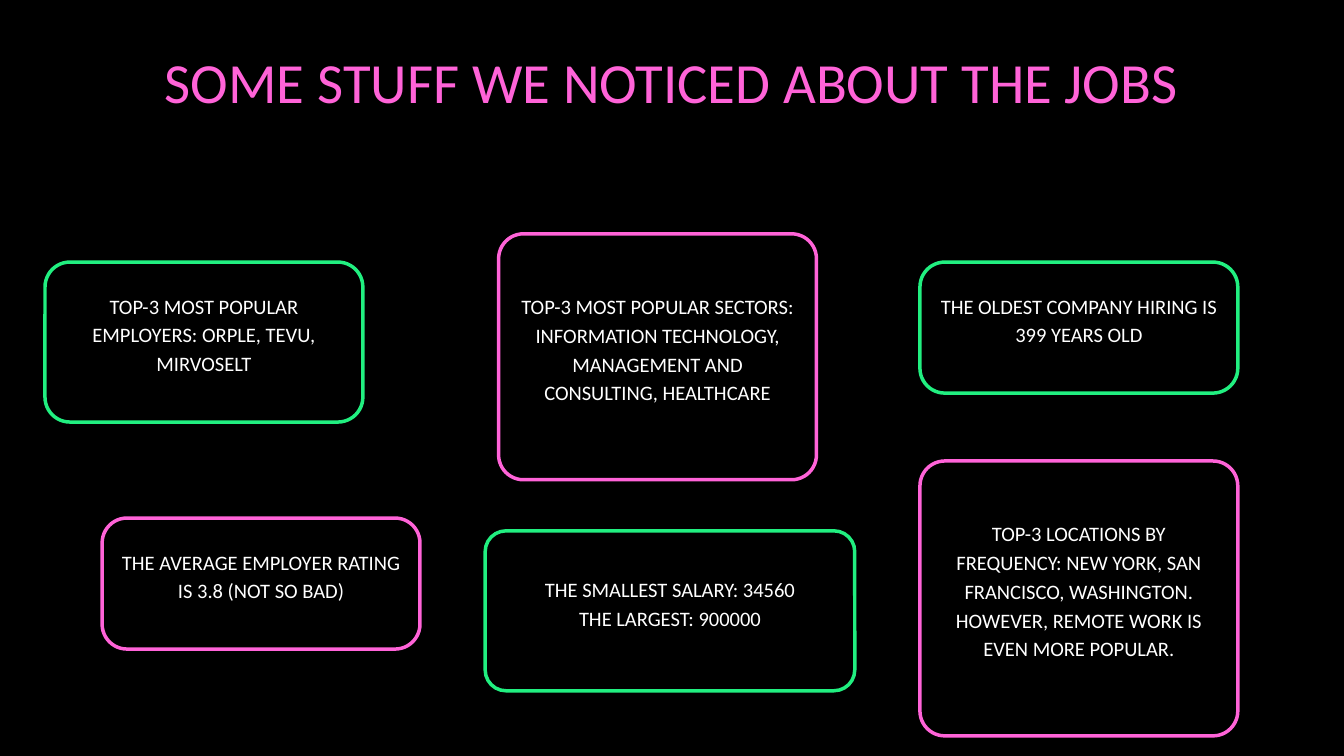
import dataclasses

import pptx
import pptx.dml.color
import pptx.enum.shapes
import pptx.enum.text
import pptx.util


@dataclasses.dataclass(frozen=True)
class Theme:
    font: str = "Calibri"
    black: str = "000000"
    white: str = "FFFFFF"
    pink: str = "FF63D8"
    green: str = "21EF80"
    title_size: float = 60.8
    title_spacing: float = 68.1
    body_size: float = 22
    body_spacing: float = 30.8
    outline: float = 3.75


THEME = Theme()
SLIDE_WIDTH = pptx.util.Inches(20)
SLIDE_HEIGHT = pptx.util.Inches(11.25)

# Card columns and sizes, in percent of the slide
LEFT, LEFT_LOW, MIDDLE, MIDDLE_LOW, RIGHT = 3.35, 7.6, 37.1, 36.1, 68.45
TOP_ROW = 34.67
CARD_WIDTH, WIDE_WIDTH = 23.65, 27.5
SHORT, MEDIUM = 17.33, 21.16

# Left, top, width, height, outline colour, corner radius in inches, paragraphs
CARDS = [
    (LEFT, TOP_ROW, CARD_WIDTH, MEDIUM, THEME.green, 0.37,
     ["TOP-3 MOST POPULAR EMPLOYERS: ORPLE, TEVU, MIRVOSELT"]),
    (MIDDLE, 30.93, CARD_WIDTH, 32.53, THEME.pink, 0.37,
     ["TOP-3 MOST POPULAR SECTORS: INFORMATION TECHNOLOGY, "
      "MANAGEMENT AND CONSULTING, HEALTHCARE"]),
    (LEFT_LOW, 68.53, CARD_WIDTH, SHORT, THEME.pink, 0.37,
     ["THE AVERAGE EMPLOYER RATING IS 3.8 (NOT SO BAD)"]),
    (RIGHT, TOP_ROW, CARD_WIDTH, SHORT, THEME.green, 0.37,
     ["THE OLDEST COMPANY HIRING IS 399 YEARS OLD"]),
    (RIGHT, 60.98, CARD_WIDTH, 36.36, THEME.pink, 0.37,
     ["TOP-3 LOCATIONS BY FREQUENCY: NEW YORK, SAN FRANCISCO, WASHINGTON.",
      "HOWEVER, REMOTE WORK IS EVEN MORE POPULAR."]),
    (MIDDLE_LOW, 70.22, WIDE_WIDTH, MEDIUM, THEME.green, 0.31,
     ["THE SMALLEST SALARY: 34560", "THE LARGEST: 900000"]),
]


def rgb(value):
    return pptx.dml.color.RGBColor.from_string(value)


def area(left, top, width, height):
    """Turn percentages of the slide into lengths."""
    return (int(SLIDE_WIDTH * left / 100), int(SLIDE_HEIGHT * top / 100),
            int(SLIDE_WIDTH * width / 100), int(SLIDE_HEIGHT * height / 100))


def write_text(box, paragraphs, *, size, spacing, color, anchor, margins):
    """Fill a shape with centred paragraphs; margins are left, top, right, bottom."""
    frame = box.text_frame
    frame.word_wrap = True
    frame.auto_size = pptx.enum.text.MSO_AUTO_SIZE.NONE
    frame.vertical_anchor = anchor
    (frame.margin_left, frame.margin_top,
     frame.margin_right, frame.margin_bottom) = map(pptx.util.Inches, margins)
    for index, text in enumerate(paragraphs):
        para = frame.paragraphs[0] if index == 0 else frame.add_paragraph()
        para.alignment = pptx.enum.text.PP_ALIGN.CENTER
        para.line_spacing = pptx.util.Pt(spacing)
        para.space_before = pptx.util.Pt(0)
        span = para.add_run()
        span.text = text
        span.font.name = THEME.font
        span.font.size = pptx.util.Pt(size)
        span.font.color.rgb = rgb(color)


def set_title(page, text):
    title = page.shapes.title
    title.left, title.top, title.width, title.height = area(1.6, 6.76, 96.75, 17.33)
    write_text(title, [text], size=THEME.title_size, spacing=THEME.title_spacing,
               color=THEME.pink, anchor=pptx.enum.text.MSO_ANCHOR.TOP,
               margins=(0, 0, 0, 0))


def add_card(page, left, top, width, height, color, radius, paragraphs):
    card = page.shapes.add_shape(
        pptx.enum.shapes.MSO_SHAPE.ROUNDED_RECTANGLE, *area(left, top, width, height))
    card.adjustments[0] = pptx.util.Inches(radius) / min(card.width, card.height)
    card.shadow.inherit = False
    card.fill.solid()
    card.fill.fore_color.rgb = rgb(THEME.black)
    card.line.color.rgb = rgb(color)
    card.line.width = pptx.util.Pt(THEME.outline)
    # The larger bottom margin lifts the text above the middle
    write_text(card, paragraphs, size=THEME.body_size, spacing=THEME.body_spacing,
               color=THEME.white, anchor=pptx.enum.text.MSO_ANCHOR.MIDDLE,
               margins=(0.17, 0, 0.17, 0.28))


def main():
    deck = pptx.Presentation()
    deck.slide_width, deck.slide_height = SLIDE_WIDTH, SLIDE_HEIGHT
    page = deck.slides.add_slide(deck.slide_layouts.get_by_name("Title Only"))
    page.background.fill.solid()
    page.background.fill.fore_color.rgb = rgb(THEME.black)

    set_title(page, "SOME STUFF WE NOTICED ABOUT THE JOBS")
    for card in CARDS:
        add_card(page, *card)

    deck.save("out.pptx")


if __name__ == "__main__":
    main()
